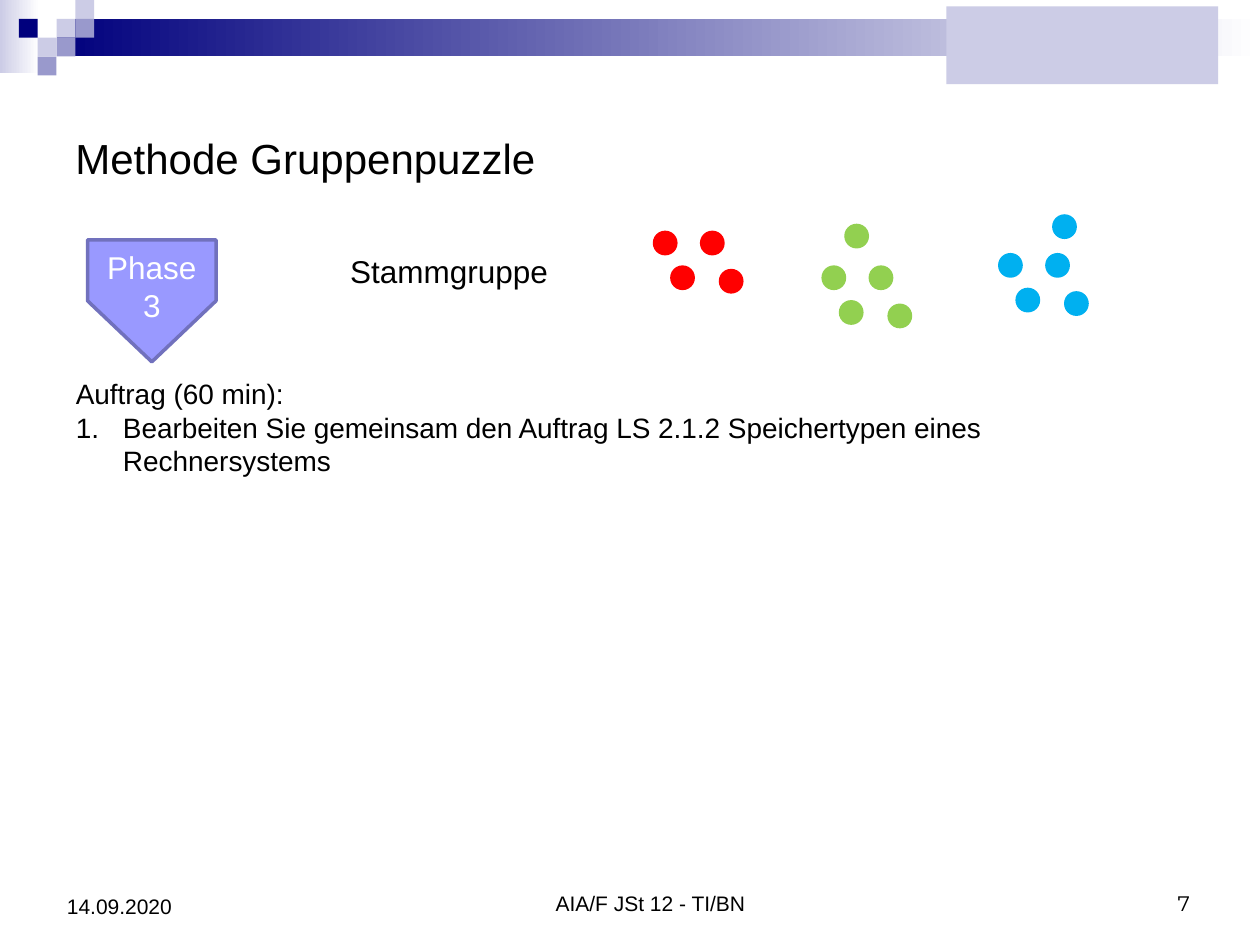
import pptx
import pptx.util
import pptx.dml.color
import pptx.enum.shapes
import pptx.enum.text
import lxml.etree

Cm, Pt = pptx.util.Cm, pptx.util.Pt
RGB = pptx.dml.color.RGBColor
MSO = pptx.enum.shapes.MSO_SHAPE
ANCHOR = pptx.enum.text.MSO_ANCHOR
ALIGN = pptx.enum.text.PP_ALIGN

BLACK = RGB(0x00, 0x00, 0x00)
WHITE = RGB(0xFF, 0xFF, 0xFF)
NAVY = RGB(0x00, 0x00, 0x7D)
PALE = RGB(0xCC, 0xCC, 0xE6)
MUTED = RGB(0x99, 0x99, 0xCC)
VIOLET = RGB(0x99, 0x99, 0xFF)
EDGE = RGB(0x71, 0x71, 0xBD)
RED = RGB(0xFF, 0x00, 0x00)
GREEN = RGB(0x92, 0xD0, 0x50)
BLUE = RGB(0x00, 0xB0, 0xF0)


def add_shape(slide, kind, x, y, w, h, fill, line=None, fade=False):
    """Add a flat shape, optionally outlined or fading to white."""
    sp = slide.shapes.add_shape(kind, Cm(x), Cm(y), Cm(w), Cm(h))
    sp.shadow.inherit = False
    if fade:
        sp.fill.gradient()
        sp.fill.gradient_angle = 0
        for stop, color, pos in zip(sp.fill.gradient_stops, (fill, WHITE), (0, 1)):
            stop.color.rgb = color
            stop.position = pos
    else:
        sp.fill.solid()
        sp.fill.fore_color.rgb = fill
    if line is None:
        sp.line.fill.background()
    else:
        sp.line.color.rgb = line
        sp.line.width = Pt(2)
    return sp


def add_run(p, text, size, color=BLACK, font="Arial"):
    """Append one formatted run to a paragraph."""
    r = p.add_run()
    r.text = text
    r.font.size = Pt(size)
    r.font.name = font
    r.font.color.rgb = color


def add_text(slide, x, y, w, h, text, size, anchor=ANCHOR.TOP, align=ALIGN.LEFT,
             wrap=True, **style):
    """Add a text box holding one paragraph and return its text frame."""
    tf = slide.shapes.add_textbox(Cm(x), Cm(y), Cm(w), Cm(h)).text_frame
    tf.word_wrap = wrap
    tf.vertical_anchor = anchor
    p = tf.paragraphs[0]
    p.alignment = align
    add_run(p, text, size, **style)
    return tf


def add_banner(slide, x, y, w):
    """Draw the fading bar, the mosaic of squares and the plain block at the right."""
    unit = 0.38
    add_shape(slide, MSO.RECTANGLE, x, y, 0.79, 1.47, PALE, fade=True)
    add_shape(slide, MSO.RECTANGLE, x + 3 * unit, y + unit, w - 3 * unit, 2 * unit,
              NAVY, fade=True)
    squares = [(3, 1, PALE), (4, 0, PALE), (4, 1, MUTED), (2, 2, PALE),
               (1, 1, NAVY), (3, 2, MUTED), (2, 3, MUTED)]
    for col, row, color in squares:
        add_shape(slide, MSO.RECTANGLE, x + col * unit, y + row * unit, unit, unit, color)
    add_shape(slide, MSO.RECTANGLE, x + w - 6.32, y + 0.13, 5.48, 1.57, PALE)


def add_group(slide, x, y, color, extra=()):
    """Draw four dots, plus any extra ones, as one group of people."""
    for dx, dy in [(0, 0), (0.95, 0), (0.35, 0.7), (1.33, 0.77), *extra]:
        add_shape(slide, MSO.OVAL, x + dx, y + dy, 0.5, 0.5, color)


def add_phase(slide, x, y, w, h, text):
    """Add a downward pentagon with upright text."""
    sp = add_shape(slide, MSO.PENTAGON, x, y, w, h, VIOLET, EDGE)
    sp.rotation = 90
    tf = sp.text_frame
    tf.word_wrap = True
    tf.vertical_anchor = ANCHOR.MIDDLE
    tf._txBody.bodyPr.set("vert", "vert270")
    p = tf.paragraphs[0]
    p.alignment = ALIGN.CENTER
    add_run(p, text, 18, WHITE)


def add_task(slide, x, y, w, h, heading, steps):
    """Add the task heading followed by its numbered steps."""
    tf = add_text(slide, x, y, w, h, heading, 16)
    for step in steps:
        p = tf.add_paragraph()
        add_run(p, step, 16)
        pPr = p._p.get_or_add_pPr()
        pPr.set("marL", str(Cm(0.95)))
        pPr.set("indent", str(-Cm(0.95)))
        lxml.etree.SubElement(pPr, pptx.oxml.ns.qn("a:buAutoNum"), type="arabicPeriod")


def add_footer(slide, x, y):
    """Place the class name, slide number and date."""
    bottom = ANCHOR.BOTTOM
    add_text(slide, x + 3.81, y, 16.41, 1.27, "AIA/F JSt 12 - TI/BN", 12, bottom,
             ALIGN.CENTER)
    add_text(slide, x + 20.22, y, 2.92, 1.27, "7", 12, bottom, ALIGN.RIGHT,
             font="Montserrat")
    add_text(slide, x, y, 3.81, 1.32, "14.09.2020", 12, bottom)


prs = pptx.Presentation()
prs.slide_width, prs.slide_height = Cm(25.4), Cm(19.05)
slide = prs.slides.add_slide(prs.slide_layouts[6])

add_banner(slide, 0, 0, 25.4)
add_text(slide, 1.27, 1.27, 22.86, 3.81, "Methode Gruppenpuzzle", 24, ANCHOR.MIDDLE)
add_footer(slide, 1.1, 17.32)
add_group(slide, 13.16, 4.65, RED)
add_group(slide, 16.56, 5.35, GREEN, [(0.46, -0.84)])
add_group(slide, 20.12, 5.1, BLUE, [(1.09, -0.78)])
add_text(slide, 6.81, 4.95, 4.55, 1.02, "Stammgruppe", 18, wrap=False)
add_phase(slide, 1.83, 4.77, 2.46, 2.59, "Phase 3")
add_task(slide, 1.28, 7.47, 22.48, 2.31, "Auftrag (60 min):", [
    "Bearbeiten Sie gemeinsam den Auftrag LS 2.1.2 Speichertypen eines Rechnersystems"])

prs.save("out.pptx")
